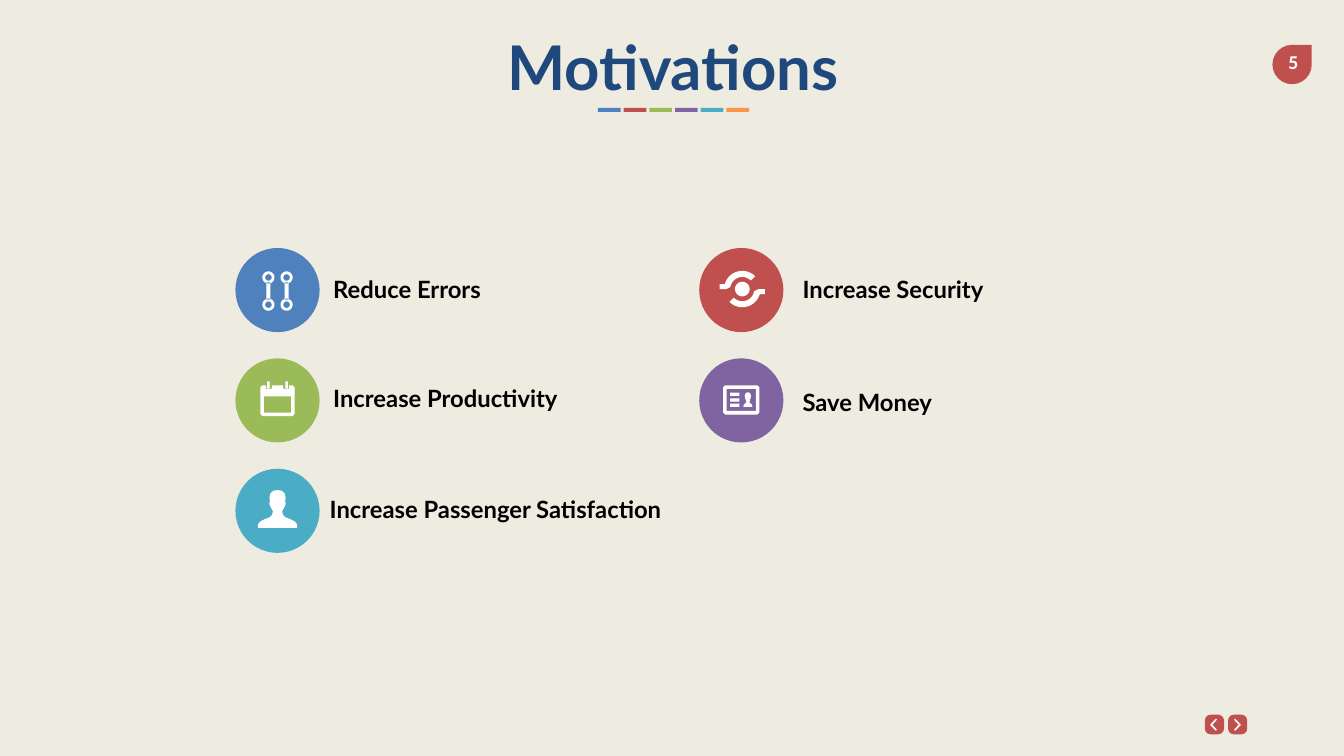
from math import cos, sin, radians
from pptx import Presentation
from pptx.dml.color import RGBColor as RGB
from pptx.enum.shapes import MSO_SHAPE as Kind
from pptx.enum.text import MSO_ANCHOR as Anchor, MSO_AUTO_SIZE as Fit, PP_ALIGN as Align
from pptx.util import Inches, Pt

THEME = {
    "back": "EEECE1", "navy": "1F497D", "black": "000000", "white": "FFFFFF",
    "blue": "4F81BD", "red": "C0504D", "green": "9BBB59",
    "purple": "8064A2", "teal": "4BACC6", "orange": "F79646",
    "font": "Lato", "plain": "Calibri", "title": 88, "label": 34, "page": 28,
}
TITLE = "Motivations"
PAGE = "5"
BARS = ["blue", "red", "green", "purple", "teal", "orange"]
ITEMS = [
    ("Reduce Errors", 0, 0, "blue", "nodes", (6.37, 5.34, 3.77)),
    ("Increase Security", 1, 0, "red", "eye", (15.68, 5.34, 4.43)),
    ("Increase Productivity", 0, 1, "green", "dates", (6.37, 7.49, 5.31)),
    ("Save Money", 1, 1, "purple", "card", (15.68, 7.57, 3.24)),
    ("Increase Passenger Satisfaction", 0, 2, "teal", "user", (6.3, 9.7, 7.8)),
]
LEFTS, TOP, PITCH, DISC = (4.67, 13.87), 4.92, 2.19, 1.67


def box(x, y, w, h, cut=0):
    r, b = x + w, y + h
    if not cut:
        return [(x, y), (r, y), (r, b), (x, b)]
    return [(x + cut, y), (r - cut, y), (r, y + cut), (r, b - cut),
            (r - cut, b), (x + cut, b), (x, b - cut), (x, y + cut)]


def arc(x, y, size, start, end, steps=32):
    turns = [radians(start + (end - start) * i / steps) for i in range(steps + 1)]
    return [(x + size * cos(t), y + size * sin(t)) for t in turns]


def ring(x, y, size):
    return arc(x, y, size, 0, 360)


def mirror(half, mid=0):
    return [(mid + x, y) for x, y in half] + [(mid - x, y) for x, y in reversed(half)]


def nodes():
    parts = []
    for x in (-18, 18):
        parts.append(box(x - 4, -15, 8, 34))
        for y in (-25, 29):
            parts += [ring(x, y, 12), ring(x, y, 6.5)]
    return parts


def eye():
    upper = ([(-43, -12), (-33, -12)] + arc(2, -2, 36, 197, 315)
             + arc(2, -2, 24, 315, 190) + [(-30, -2), (-43, -2)])
    lower = [(4 - x, -4 - y) for x, y in upper]
    return [upper, lower, ring(2, -2, 14.5)]


def dates():
    half = [(11, -30), (11, -23), (23, -23), (23, -30), (30, -30),
            (34, -26), (34, 27), (30, 31)]
    posts = [box(x, -38, 5, 14) for x in (-20.5, 15.5)]
    return [mirror(half), box(-27, -8, 54, 32)] + posts


def card():
    bust = [(0, -16), (4, -15), (6.5, -9), (3, 4), (8, 8), (9, 13)]
    lines = [box(-22, y, 18, 6.5) for y in (-15.5, -4, 6.5)]
    return [box(-36, -30, 72, 58, 4), box(-29, -23, 58, 44), mirror(bust, 13)] + lines


def user():
    half = [(0, -41), (8, -40), (14, -35), (16, -26), (15, -18), (16.5, -15),
            (14, -8), (9, 1), (11, 8), (16, 13), (24, 16), (34, 21), (39, 27), (39, 34)]
    return [mirror(half)]


ICONS = {"nodes": nodes, "eye": eye, "dates": dates, "card": card, "user": user}


def tint(shape, key):
    shape.shadow.inherit = False
    shape.fill.solid()
    shape.fill.fore_color.rgb = RGB.from_string(THEME[key])
    shape.line.fill.background()


def place(slide, kind, key, *area):
    shape = slide.shapes.add_shape(kind, *map(Inches, area))
    tint(shape, key)
    return shape


def draw(slide, parts, x, y, key="white"):
    paths = [[(Inches(x + a / 100), Inches(y + b / 100)) for a, b in part] for part in parts]
    pen = slide.shapes.build_freeform(*paths[0][0], scale=1.0)
    pen.add_line_segments(paths[0][1:], close=True)
    for part in paths[1:]:
        pen.move_to(*part[0])
        pen.add_line_segments(part[1:], close=True)
    tint(pen.convert_to_shape(), key)


def write(shape, text, size, key, font="font", align=Align.LEFT, pad=(0.1, 0.05), wrap=True):
    frame = shape.text_frame
    frame.word_wrap = wrap
    frame.auto_size = Fit.NONE
    frame.vertical_anchor = Anchor.TOP
    frame.margin_left = frame.margin_right = Inches(pad[0])
    frame.margin_top = frame.margin_bottom = Inches(pad[1])
    para = frame.paragraphs[0]
    para.alignment = align
    run = para.add_run()
    run.text = text
    run.font.size = Pt(THEME[size])
    run.font.name = THEME[font]
    run.font.bold = True
    run.font.color.rgb = RGB.from_string(THEME[key])


def main():
    deck = Presentation()
    deck.slide_width, deck.slide_height = Inches(26.66), Inches(15)
    slide = deck.slides.add_slide(deck.slide_layouts[5])
    slide.background.fill.solid()
    slide.background.fill.fore_color.rgb = RGB.from_string(THEME["back"])

    title = slide.shapes.title
    title.left, title.top, title.width, title.height = map(Inches, (1.9, 0.53, 22.9, 1.58))
    write(title, TITLE, "title", "navy", align=Align.CENTER)
    for i, key in enumerate(BARS):
        place(slide, Kind.RECTANGLE, key, 11.86 + 0.51 * i, 2.14, 0.45, 0.08)

    place(slide, Kind.TEAR, "red", 25.24, 0.89, 0.78, 0.78)
    page = slide.shapes.add_textbox(*map(Inches, (25.22, 0.9, 0.87, 0.67)))
    write(page, PAGE, "page", "white", "plain", Align.CENTER, (0.2, 0.1), False)

    for text, col, row, key, icon, (x, y, width) in ITEMS:
        left, top = LEFTS[col], TOP + PITCH * row
        place(slide, Kind.OVAL, key, left, top, DISC, DISC)
        draw(slide, ICONS[icon](), left + DISC / 2, top + DISC / 2)
        label = slide.shapes.add_textbox(*map(Inches, (x, y, width, 0.82)))
        write(label, text, "label", "black", pad=(0.24, 0.12))

    arrow = [(4, -12), (6, -10), (-3, 0), (6, 10), (4, 12), (-7, 1), (-7, -1)]
    for left, side in ((23.9, 1), (24.36, -1)):
        button = place(slide, Kind.ROUNDED_RECTANGLE, "red", left, 14.18, 0.38, 0.39)
        button.adjustments[0] = 0.3
        draw(slide, [[(side * x, y) for x, y in arrow]], left + 0.18, 14.38)

    deck.save("out.pptx")


if __name__ == "__main__":
    main()
